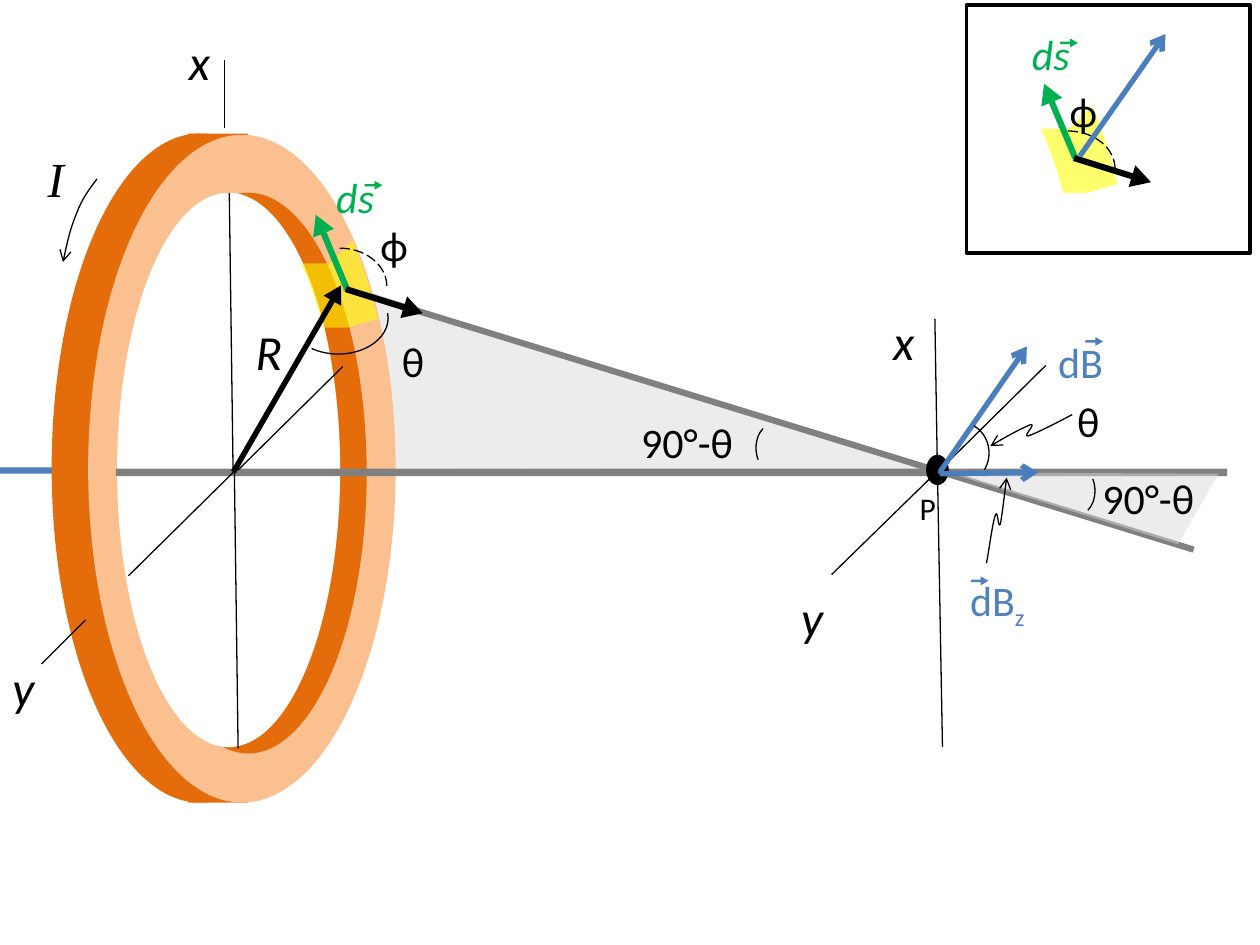
"""Draw the magnetic field of a current loop at a point P on its axis."""
from dataclasses import dataclass

from lxml import etree
from pptx import Presentation
from pptx import util as u
from pptx.dml.color import RGBColor
from pptx.enum import dml, shapes, text
from pptx.oxml.ns import qn

COLORS = {
    "black": "000000", "white": "FFFFFF", "gray": "808080", "shade": "D9D9D9",
    "orange": "E46C0A", "peach": "FAC090", "yellow": "FFFF00",
    "green": "00B050", "blue": "4F81BD", "vector": "4B7EBC",
}
KIND = shapes.MSO_SHAPE
PATCH = [(0, 0.18), (0.23, 0.18), (0.41, 0), (0.49, 0.2, 0.56, 0.4, 0.61, 0.62),
         (0.37, 0.69), (0.18, 0.69), (0.13, 0.52, 0.08, 0.35, 0, 0.18)]


@dataclass
class Solid:
    left: float
    top: float
    width: float
    height: float
    color: str
    kind: KIND = KIND.RECTANGLE
    turn: float = 0
    outline: float = 0


@dataclass
class Line:
    start: tuple
    end: tuple
    color: str = "black"
    weight: float = 0.75
    arrow: bool = False


@dataclass
class Label:
    left: float
    top: float
    width: float
    words: str
    size: int = 24
    color: str = "black"
    italic: bool = False
    font: str = "Calibri"
    subscript: str = ""
    wrap: bool = False


@dataclass
class Arc:
    left: float
    top: float
    width: float
    height: float
    begin: float = 162
    end: float = 0
    turn: float = 0
    dashed: bool = False


@dataclass
class Path:
    points: list
    fill: str = ""
    opacity: int = 100
    left: float = 0
    top: float = 0


def rgb(name: str) -> RGBColor:
    return RGBColor.from_string(COLORS[name])


def set_line(shape, color: str, weight: float, arrow: bool = False) -> None:
    shape.line.color.rgb = rgb(color)
    shape.line.width = u.Pt(weight)
    if arrow:
        ln = shape._element.spPr.find(qn("a:ln"))
        etree.SubElement(ln, qn("a:tailEnd"), type="arrow")


def draw_solid(page, item: Solid) -> None:
    shape = page.shapes.add_shape(item.kind, *map(u.Inches, (item.left, item.top, item.width, item.height)))
    shape.shadow.inherit = False
    shape.rotation = item.turn
    shape.fill.solid()
    shape.fill.fore_color.rgb = rgb(item.color)
    if item.outline:
        set_line(shape, "black", item.outline)
    else:
        shape.line.fill.background()
    if item.kind == KIND.DOWN_ARROW:
        shape.adjustments[0], shape.adjustments[1] = 0.273, 0.879


def draw_line(page, item: Line) -> None:
    line = page.shapes.add_connector(shapes.MSO_CONNECTOR.STRAIGHT, *map(u.Inches, item.start + item.end))
    set_line(line, item.color, item.weight, item.arrow)
    etree.SubElement(line._element.spPr, qn("a:effectLst"))


def draw_label(page, item: Label) -> None:
    height = 0.57 if item.size == 28 else 0.4 if item.size == 18 else 0.5
    box = page.shapes.add_textbox(*map(u.Inches, (item.left, item.top, item.width, height)))
    box.text_frame.word_wrap = item.wrap
    box.text_frame.auto_size = text.MSO_AUTO_SIZE.SHAPE_TO_FIT_TEXT
    para = box.text_frame.paragraphs[0]
    for words in filter(None, (item.words, item.subscript)):
        span = para.add_run()
        span.text = words
        span.font.name, span.font.size = item.font, u.Pt(item.size)
        span.font.italic = item.italic
        span.font.color.rgb = rgb(item.color)
        if words == item.subscript:
            span.font._element.set("baseline", "-25000")


def draw_arc(page, item: Arc) -> None:
    arc = page.shapes.add_shape(KIND.ARC, *map(u.Inches, (item.left, item.top, item.width, item.height)))
    arc.shadow.inherit = False
    arc.fill.background()
    arc.rotation = item.turn
    arc.adjustments[0], arc.adjustments[1] = item.begin, item.end
    set_line(arc, "black", 0.75)
    if item.dashed:
        arc.line.dash_style = dml.MSO_LINE.LONG_DASH


def bend(shape, steps: list) -> None:
    segments = iter(list(shape._element.iter(qn("a:lnTo"))))
    for step in steps:
        first = next(segments)
        if len(step) == 6:
            curve = etree.Element(qn("a:cubicBezTo"))
            first.addprevious(curve)
            for part in (first, next(segments), next(segments)):
                curve.append(part[0])
                part.getparent().remove(part)


def draw_path(page, item: Path) -> None:
    spots = [(u.Inches(item.left + step[i]), u.Inches(item.top + step[i + 1]))
             for step in item.points for i in range(0, len(step), 2)]
    builder = page.shapes.build_freeform(*spots[0])
    builder.add_line_segments(spots[1:], close=bool(item.fill))
    shape = builder.convert_to_shape()
    bend(shape, item.points[1:])
    shape.shadow.inherit = False
    if not item.fill:
        shape.fill.background()
        set_line(shape, "black", 0.75, arrow=True)
        return
    shape.fill.solid()
    shape.fill.fore_color.rgb = rgb(item.fill)
    color = shape._element.spPr.find(qn("a:solidFill"))[0]
    etree.SubElement(color, qn("a:alpha"), val=str(item.opacity * 1000))
    shape.line.fill.background()


def pointer(left: float, top: float, width: float, height: float, turn: float, color: str) -> Solid:
    return Solid(left, top, width, height, color, KIND.DOWN_ARROW, turn)


def over_arrow(left: float, top: float, color: str) -> Solid:
    return pointer(left, top, 0.07, 0.14, 270, color)


def oval(left: float, top: float, width: float, height: float, color: str) -> Solid:
    return Solid(left, top, width, height, color, KIND.OVAL)


def axis_label(left: float, top: float, width: float, words: str, font: str = "Calibri") -> Label:
    return Label(left, top, width, words, 28, italic=True, font=font)


def segment(patch: tuple, vector: tuple, arc: tuple, name: tuple, phi: tuple) -> list:
    x, y = vector
    return [Path(PATCH, "yellow", 57, *patch),
            pointer(x, y, 0.18, 0.64, 157.2, "green"),
            pointer(x + 0.42, y + 0.39, 0.18, 0.64, 287.4, "black"),
            Arc(*arc, 0.75, 0.6, dashed=True),
            Label(*name, 0.51, "ds", color="green", italic=True),
            over_arrow(name[0] + 0.36, name[1] + 0.09, "green"),
            Label(*phi, 0.41, "ϕ")]


INSET = [Solid(7.67, 0.04, 2.25, 1.97, "white", outline=2),
         *segment((8.26, 0.84), (8.32, 0.64), (8.1, 1.04), (8.09, 0.18), (8.39, 0.63)),
         Line((8.57, 1.24), (9.25, 0.27), "vector", 3, True)]
RING = [Path([(2.68, 2.28), (1.87, 3.71), (7.38, 3.73)], "shade", 49),
        Line((8.3, 2.9), (7.47, 3.72)), Solid(-0.01, 3.71, 0.76, 0.05, "blue"),
        oval(0.41, 1.06, 2.35, 5.31, "orange"), Solid(1.49, 1.06, 0.48, 5.31, "orange"),
        oval(0.7, 1.07, 2.44, 5.3, "peach"), oval(1.03, 1.53, 1.88, 4.45, "orange"),
        oval(0.93, 1.53, 1.77, 4.4, "white"), Solid(0.92, 3.72, 8.82, 0.06, "gray"),
        Line((1.85, 3.75), (1.82, 1.53)), Line((1.85, 3.75), (1.02, 4.57)),
        Line((1.78, 1.02), (1.78, 0.48)), Line((0.68, 4.92), (0.33, 5.27)),
        axis_label(1.93, 2.5, 0.42, "R"), axis_label(1.4, 0.2, 0.37, "x"), axis_label(0, 5.17, 0.38, "y"),
        Path([(0.77, 1.42), (0.71, 1.5, 0.65, 1.58, 0.61, 1.69), (0.56, 1.81, 0.53, 1.94, 0.5, 2.08)]),
        axis_label(0.28, 1.13, 0.33, "I", "Times New Roman"),
        Solid(2.57, 3.3, 7.06, 0.05, "gray", turn=17.1)]
POINT = [Path([(9.35, 4.32), (9.67, 3.76), (7.52, 3.75)], "shade", 49),
         Label(7.2, 3.83, 0.33, "P", 18), oval(7.35, 3.61, 0.18, 0.24, "black"),
         Line((7.46, 3.76), (8.24, 3.75), "vector", 3, True),
         Label(8.45, 3.09, 0.38, "θ"), Label(3.09, 2.61, 0.51, "θ", wrap=True),
         Label(8.3, 2.62, 0.56, "dB", color="blue"),
         Label(7.6, 4.51, 0.65, "dB", color="blue", subscript="z"),
         over_arrow(7.74, 4.54, "blue"), over_arrow(8.65, 2.64, "blue"),
         Line((7.45, 3.76), (8.15, 2.75), "vector", 3, True),
         Arc(2.29, 2.24, 0.79, 0.57, 104.55, 186.86, 180),
         Path([(7.83, 4.47), (7.86, 4.3, 7.88, 4.14, 7.9, 4.09), (7.92, 4.03, 7.92, 4.2, 7.94, 4.16),
               (7.95, 4.11, 7.97, 3.95, 7.99, 3.79)]),
         Arc(7.39, 3.35, 0.46, 0.49, 178.49, 20.46),
         Path([(8.51, 3.29), (8.36, 3.37, 8.22, 3.44, 8.16, 3.46), (8.11, 3.47, 8.23, 3.36, 8.18, 3.37),
               (8.13, 3.39, 7.99, 3.46, 7.86, 3.54)]),
         Arc(8.44, 3.71, 0.25, 0.37, 191.61, 39.58), Label(8.65, 3.7, 0.96, "90°-θ"),
         Label(4.99, 3.26, 0.96, "90°-θ"), Arc(6, 3.37, 0.25, 0.37, 191.61, 39.58, 180),
         Line((2.72, 2.91), (1.89, 3.73)), Line((1.89, 5.94), (1.86, 3.73)),
         Line((7.44, 3.74), (7.42, 2.53)), Line((7.44, 3.74), (6.6, 4.56)), Line((7.48, 5.93), (7.44, 3.72)),
         axis_label(6.26, 4.61, 0.38, "y"), axis_label(6.99, 2.42, 0.37, "x")]
ELEMENT = [*segment((2.39, 1.91), (2.54, 1.68), (2.32, 1.97), (2.57, 1.31), (2.92, 1.69)),
           pointer(2.2, 2.15, 0.16, 1.71, 210, "black")]
DRAW = {Solid: draw_solid, Line: draw_line, Label: draw_label, Arc: draw_arc, Path: draw_path}


def main() -> None:
    deck = Presentation()
    deck.slide_width, deck.slide_height = u.Inches(10), u.Inches(7.5)
    page = deck.slides.add_slide(deck.slide_layouts[6])
    for item in INSET + RING + POINT + ELEMENT:
        DRAW[type(item)](page, item)
    deck.save("out.pptx")


if __name__ == "__main__":
    main()
